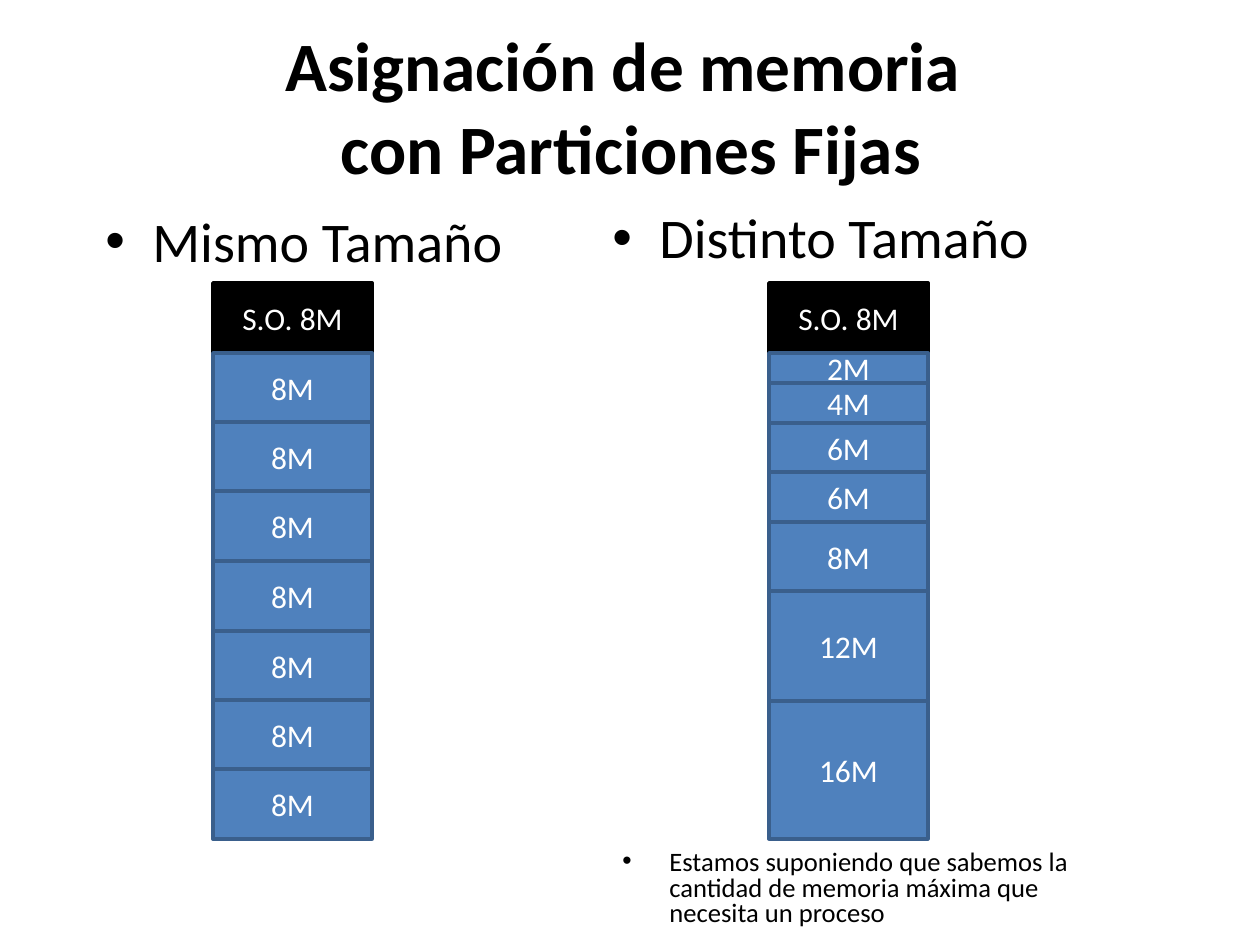
from dataclasses import dataclass

from lxml.etree import SubElement
from pptx import Presentation
from pptx.dml.color import RGBColor
from pptx.enum.shapes import MSO_SHAPE as Shape
from pptx.enum.text import MSO_ANCHOR as Anchor, PP_ALIGN as Align
from pptx.oxml.ns import qn
from pptx.util import Emu, Pt

EMU_PER_PX = 914400 / 126
BLACK = RGBColor(0x00, 0x00, 0x00)
WHITE = RGBColor(0xFF, 0xFF, 0xFF)
BLUE = RGBColor(0x4F, 0x81, 0xBD)
DARK_BLUE = RGBColor(0x3A, 0x5F, 0x8C)

MEMORY_TOP, MEMORY_WIDTH, MEMORY_HEIGHT = 283, 159, 556
BULLET_INDENT = 47


@dataclass(frozen=True)
class Box:
    left: int
    top: int
    width: int
    height: int


@dataclass(frozen=True)
class Bullet:
    text: str
    box: Box
    size: float
    line_spacing: float


@dataclass(frozen=True)
class Partition:
    label: str
    height: int


@dataclass(frozen=True)
class Memory:
    left: int
    partitions: list[Partition]


def px(length: float) -> Emu:
    return Emu(round(length * EMU_PER_PX))


def place(box: Box) -> tuple[Emu, ...]:
    return px(box.left), px(box.top), px(box.width), px(box.height)


def equal_heights(count: int) -> list[int]:
    edges = [round(MEMORY_HEIGHT * i / count) for i in range(count + 1)]
    return [bottom - top for top, bottom in zip(edges, edges[1:])]


def set_font(paragraph, size: float, color: RGBColor, bold: bool = False) -> None:
    formats = {"name": "Calibri", "size": Pt(size), "bold": bold}
    for run in paragraph.runs:
        for name, value in formats.items():
            setattr(run.font, name, value)
        run.font.color.rgb = color


def add_text(slide, text: str, box: Box, anchor: Anchor):
    frame = slide.shapes.add_textbox(*place(box)).text_frame
    frame.word_wrap = True
    frame.vertical_anchor = anchor
    paragraph = frame.paragraphs[0]
    paragraph.text = text
    return paragraph


def draw_title(slide, text: str, box: Box) -> None:
    paragraph = add_text(slide, text, box, Anchor.MIDDLE)
    paragraph.alignment = Align.CENTER
    set_font(paragraph, 39.6, BLACK, bold=True)


def draw_bullet(slide, bullet: Bullet) -> None:
    paragraph = add_text(slide, bullet.text, bullet.box, Anchor.TOP)
    paragraph.line_spacing = bullet.line_spacing
    properties = paragraph._p.get_or_add_pPr()
    properties.set("marL", str(px(BULLET_INDENT)))
    properties.set("indent", str(-px(BULLET_INDENT)))
    SubElement(properties, qn("a:buFont"), typeface="Arial")
    SubElement(properties, qn("a:buChar"), char="•")
    set_font(paragraph, bullet.size, BLACK)


def draw_memory(slide, memory: Memory) -> None:
    group = slide.shapes.add_group_shape()
    top = MEMORY_TOP
    for index, partition in enumerate(memory.partitions):
        # The operating system takes the first block
        fill, line = (BLUE, DARK_BLUE) if index else (BLACK, BLACK)
        box = Box(memory.left, top, MEMORY_WIDTH, partition.height)
        shape = group.shapes.add_shape(Shape.RECTANGLE, *place(box))
        shape.shadow.inherit = False
        shape.fill.solid()
        shape.fill.fore_color.rgb = fill
        shape.line.color.rgb = line
        shape.line.width = Pt(2)
        frame = shape.text_frame
        frame.vertical_anchor = Anchor.MIDDLE
        paragraph = frame.paragraphs[0]
        paragraph.text = partition.label
        paragraph.alignment = Align.CENTER
        set_font(paragraph, 18, WHITE)
        top += partition.height


SYSTEM = "S.O. 8M"
FIXED_LABELS = [SYSTEM] + ["8M"] * 7
MEMORIES = [
    Memory(213, [Partition(*pair) for pair in zip(FIXED_LABELS, equal_heights(8))]),
    Memory(769, [
        Partition(SYSTEM, 70),
        Partition("2M", 30),
        Partition("4M", 40),
        Partition("6M", 49),
        Partition("6M", 50),
        Partition("8M", 69),
        Partition("12M", 110),
        Partition("16M", 138),
    ]),
]
BULLETS = [
    Bullet("Mismo Tamaño", Box(93, 200, 478, 83), 32, 1.0),
    Bullet("Distinto Tamaño", Box(600, 204, 535, 79), 32, 0.9),
    Bullet("Estamos suponiendo que sabemos la cantidad de memoria máxima "
           "que necesita un proceso", Box(610, 845, 478, 100), 15.2, 0.8),
]


def main() -> None:
    presentation = Presentation()
    presentation.slide_width, presentation.slide_height = px(1260), px(945)
    slide = presentation.slides.add_slide(presentation.slide_layouts[6])

    # Title
    draw_title(slide, "Asignación de memoria \vcon Particiones Fijas",
               Box(64, 26, 1134, 158))

    # Memory columns
    for memory in MEMORIES:
        draw_memory(slide, memory)

    # Headings and closing remark
    for bullet in BULLETS:
        draw_bullet(slide, bullet)

    presentation.save("out.pptx")


if __name__ == "__main__":
    main()
